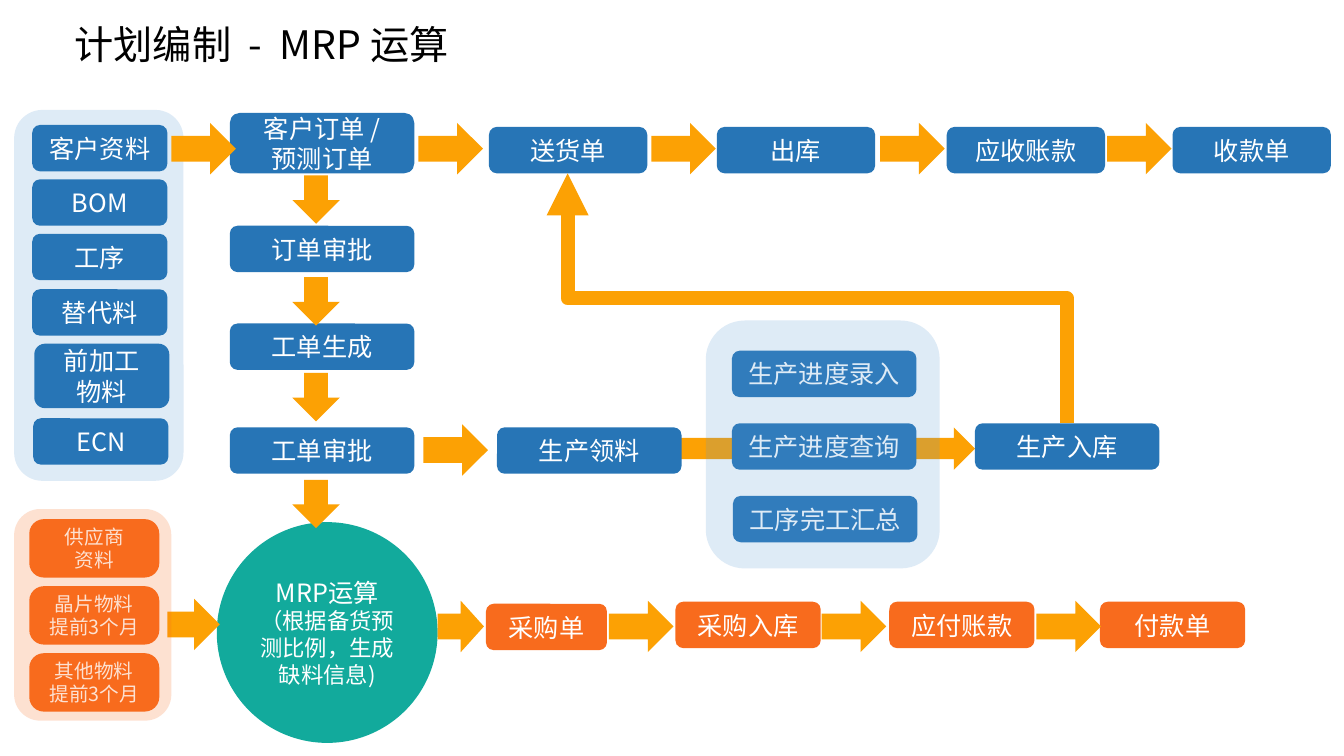
from lxml.etree import SubElement
from pptx import Presentation
from pptx.dml.color import RGBColor
from pptx.enum.shapes import MSO_CONNECTOR, MSO_SHAPE as SHAPE
from pptx.enum.text import MSO_ANCHOR, PP_ALIGN
from pptx.oxml.ns import qn
from pptx.util import Inches, Pt

BLUE = RGBColor(0x27, 0x75, 0xB6)
PALE = RGBColor(0x5B, 0x9B, 0xD5)
ORANGE = RGBColor(0xF8, 0x6B, 0x1D)
AMBER = RGBColor(0xFC, 0xA1, 0x04)
TEAL = RGBColor(0x12, 0xAA, 0x9C)
WHITE = RGBColor(0xFF, 0xFF, 0xFF)
BLACK = RGBColor(0, 0, 0)
FONT = "Noto Sans CJK SC"


def add_text(p, text, size=18, color=WHITE, align=PP_ALIGN.CENTER, spacing=None):
    p.alignment = align
    p.line_spacing = spacing
    r = p.add_run()
    r.text = text
    r.font.size = Pt(size)
    r.font.name = FONT
    r.font.color.rgb = color
    SubElement(r.font._element, qn("a:ea")).set("typeface", FONT)


class Flowchart:
    def __init__(self, prs):
        self.s = prs.slides.add_slide(prs.slide_layouts[5])

    def title(self, text):
        sp = self.s.shapes.title
        sp.left, sp.top, sp.width, sp.height = map(Inches, (0.64, 0.2, 12.32, 0.7))
        tf = sp.text_frame
        tf.vertical_anchor = MSO_ANCHOR.TOP
        add_text(tf.paragraphs[0], text, size=28, color=BLACK,
                 align=PP_ALIGN.LEFT, spacing=0.9)

    def shape(self, kind, x, y, w, h, fill):
        sp = self.s.shapes.add_shape(kind, *map(Inches, (x, y, w, h)))
        sp.shadow.inherit = False
        sp.fill.solid()
        sp.fill.fore_color.rgb = fill
        sp.line.fill.background()
        return sp

    def box(self, text, x, y, w, h=0.46, fill=BLUE, kind=SHAPE.ROUNDED_RECTANGLE,
            sizes=(18, 18), corner=None):
        sp = self.shape(kind, x, y, w, h, fill)
        if corner:
            sp.adjustments[0] = corner
        tf = sp.text_frame
        tf.word_wrap = True
        tf.vertical_anchor = MSO_ANCHOR.MIDDLE
        for i, (line, size) in enumerate(zip(text.split("\n"), sizes)):
            add_text(tf.add_paragraph() if i else tf.paragraphs[0], line, size=size)

    def panel(self, x, y, w, h, fill):
        sp = self.shape(SHAPE.ROUNDED_RECTANGLE, x, y, w, h, fill)
        clr = sp.fill._xPr.find(qn("a:solidFill"))[0]
        SubElement(clr, qn("a:alpha")).set("val", "20000")

    def right(self, x, y, w=0.64, h=0.51):
        self.shape(SHAPE.RIGHT_ARROW, x, y, w, h, AMBER)

    def down(self, x, y):
        self.shape(SHAPE.DOWN_ARROW, x, y, 0.47, 0.48, AMBER)

    def elbow(self, x1, y1, x2, y2):
        """Elbow that leaves and arrives vertically: a quarter-turned connector."""
        cx, cy = (x1 + x2) / 2, (y1 + y2) / 2
        dx, dy = (y1 - y2) / 2, (x1 - x2) / 2
        c = self.s.shapes.add_connector(
            MSO_CONNECTOR.ELBOW,
            *map(Inches, (cx - dx, cy + dy, cx + dx, cy - dy)))
        c.line.color.rgb = AMBER
        c.line.width = Pt(10)
        SubElement(c.line._get_or_add_ln(), qn("a:tailEnd")).set("type", "triangle")
        spPr = c._element.spPr
        spPr.find(qn("a:xfrm")).set("rot", "16200000")
        SubElement(spPr, qn("a:effectLst"))


def main():
    prs = Presentation()
    prs.slide_width, prs.slide_height = Inches(13.33), Inches(7.5)
    f = Flowchart(prs)
    f.title("计划编制  -  MRP 运算")

    # Layers behind the boxes
    f.right(6.75, 4.24, w=2.92, h=0.42)
    f.panel(0.14, 1.09, 1.68, 3.68, PALE)

    # Master data
    for text, x, y, h in [("客户资料", 0.32, 1.24, 0.46), ("BOM", 0.32, 1.78, 0.46),
                          ("工序", 0.32, 2.32, 0.46), ("替代料", 0.32, 2.87, 0.46),
                          ("前加工\n物料", 0.34, 3.41, 0.64), ("ECN", 0.33, 4.15, 0.46)]:
        f.box(text, x, y, 1.34, h)

    # Orders, down to the MRP run
    for text, y, h in [("客户订单 /\n预测订单", 1.12, 0.6), ("订单审批", 2.24, 0.46),
                       ("工单生成", 3.21, 0.46), ("工单审批", 4.24, 0.46)]:
        f.box(text, 2.28, y, 1.83, h)
    f.box("MRP运算\n（根据备货预测比例，生成缺料信息)", 2.15, 5.18, 2.19, 2.19,
          fill=TEAL, kind=SHAPE.OVAL, sizes=(18, 16))
    for y in (1.74, 2.75, 3.7, 4.76):
        f.down(2.9, y)

    # Delivery and receivables
    for text, x in [("送货单", 4.85), ("出库", 7.11), ("应收账款", 9.39), ("收款单", 11.63)]:
        f.box(text, x, 1.26, 1.57)
    for x in (1.7, 4.15, 6.46, 8.73, 10.98):
        f.right(x, 1.22)

    # Production
    for text, x, y in [("生产领料", 4.93, 4.24), ("生产进度录入", 7.26, 3.48),
                       ("生产进度查询", 7.26, 4.2), ("工序完工汇总", 7.27, 4.92),
                       ("生产入库", 9.67, 4.2)]:
        f.box(text, x, y, 1.83)
    f.panel(7, 3.18, 2.32, 2.46, PALE)
    f.right(4.2, 4.21)
    f.elbow(10.58, 4.2, 5.63, 1.72)

    # Purchasing and payables
    for text, x, y, w in [("采购单", 4.82, 5.99, 1.2), ("采购入库", 6.7, 5.97, 1.44),
                          ("应付账款", 8.82, 5.97, 1.44), ("付款单", 10.91, 5.97, 1.44)]:
        f.box(text, x, y, w, fill=ORANGE)
    for x, w in [(4.34, 0.46), (6.04, 0.64), (8.15, 0.64), (10.28, 0.64)]:
        f.right(x, 5.96, w)
    f.right(1.66, 5.94, w=0.52)

    # Supplier data
    for i, text in enumerate(["供应商\n资料", "晶片物料\n提前3个月", "其他物料\n提前3个月"]):
        f.box(text, 0.29, 5.15 + i * 0.665, 1.29, 0.58, fill=ORANGE,
              sizes=(14, 14), corner=0.25)
    f.panel(0.14, 5.05, 1.56, 2.1, ORANGE)

    prs.save("out.pptx")


if __name__ == "__main__":
    main()
